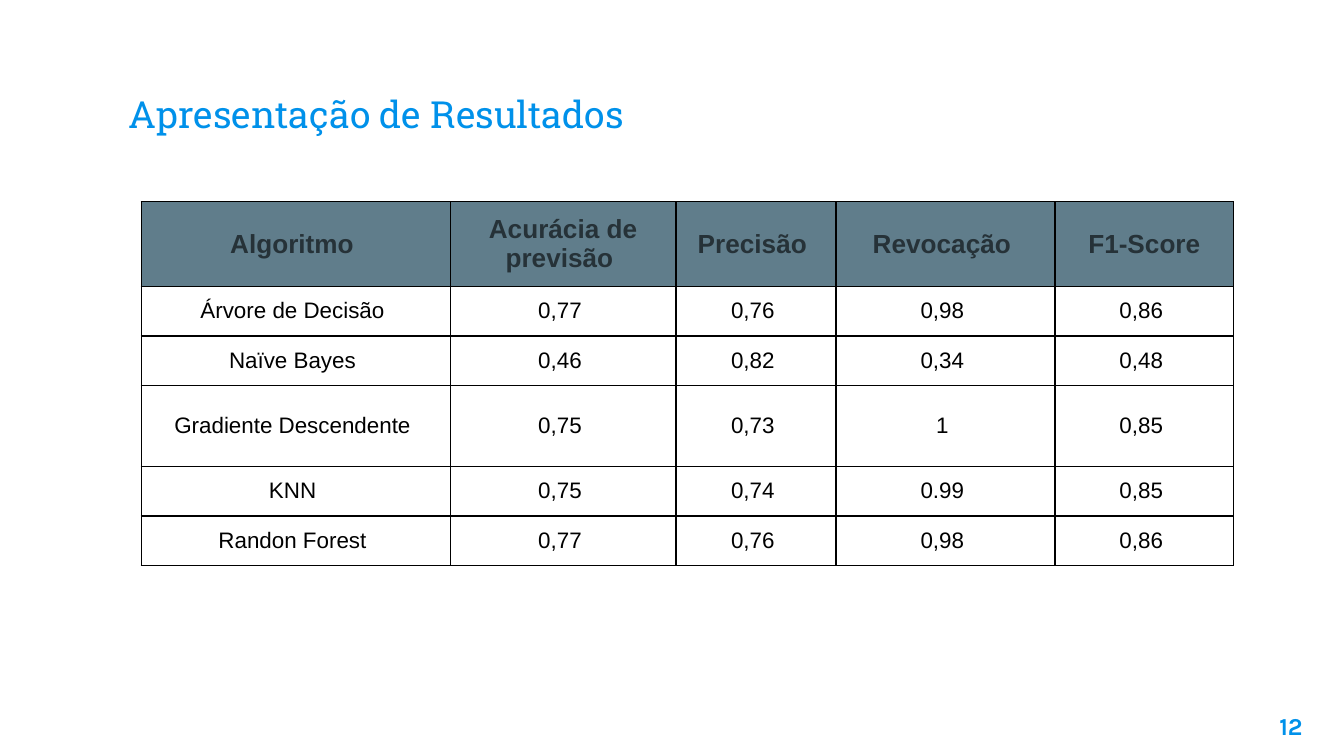
from dataclasses import dataclass

from lxml import etree
from pptx import Presentation
from pptx.dml.color import RGBColor
from pptx.enum.text import MSO_ANCHOR, PP_ALIGN
from pptx.oxml.ns import qn
from pptx.util import Inches, Pt

LEFT, CENTER, RIGHT = PP_ALIGN.LEFT, PP_ALIGN.CENTER, PP_ALIGN.RIGHT
TOP, MIDDLE, BOTTOM = MSO_ANCHOR.TOP, MSO_ANCHOR.MIDDLE, MSO_ANCHOR.BOTTOM
NBSP = chr(160)  # no-break space that closes every table entry

COLORS = {
    "accent": "0091EA",
    "header_fill": "607D8B",
    "header_text": "263238",
    "body_text": "000000",
    "border": "000000",
}


@dataclass(frozen=True)
class TextStyle:
    font: str
    size: float
    color: str
    bold: bool = False
    align: PP_ALIGN = CENTER


@dataclass(frozen=True)
class Label:
    text: str
    left: float
    top: float
    width: float
    height: float
    style: TextStyle
    anchor: MSO_ANCHOR = TOP


HEADER_STYLE = TextStyle("Arial", 14, "header_text", bold=True)
BODY_STYLE = TextStyle("Arial", 12, "body_text")

LABELS = [
    Label("Apresentação de Resultados", 0.86, 0.34, 8.28, 0.77,
          TextStyle("Roboto Slab", 20, "accent", align=LEFT), BOTTOM),
    Label("12", 9.19, 5.19, 0.6, 0.43,
          TextStyle("Karla", 13, "accent", bold=True, align=RIGHT)),
]

RESULTS = [
    ("Algoritmo", "Acurácia de previsão", "Precisão", "Revocação", NBSP + "F1-Score"),
    ("Árvore de Decisão", "0,77", "0,76", "0,98", "0,86"),
    ("Naïve Bayes", "0,46", "0,82", "0,34", "0,48"),
    ("Gradiente Descendente", "0,75", "0,73", "1", "0,85"),
    ("KNN", "0,75", "0,74", "0.99", "0,85"),
    ("Randon Forest", "0,77", "0,76", "0,98", "0,86"),
]
COLUMN_WIDTHS = [2.3, 1.68, 1.19, 1.63, 1.33]
ROW_HEIGHTS = [0.63, 0.37, 0.37, 0.6, 0.37, 0.37]


def write_text(frame, text: str, style: TextStyle) -> None:
    paragraph = frame.paragraphs[0]
    paragraph.text = text
    paragraph.alignment = style.align
    font = paragraph.font
    font.name, font.size, font.bold = style.font, Pt(style.size), style.bold
    font.color.rgb = RGBColor.from_string(COLORS[style.color])


def add_label(slide, label: Label) -> None:
    box = slide.shapes.add_textbox(Inches(label.left), Inches(label.top),
                                   Inches(label.width), Inches(label.height))
    frame = box.text_frame
    frame.word_wrap = True
    frame.vertical_anchor = label.anchor
    frame.margin_left = frame.margin_right = Inches(0.1)
    frame.margin_top = frame.margin_bottom = Inches(0.1)
    write_text(frame, label.text, label.style)


def add_borders(cell, color: str, width: float) -> None:
    properties = cell._tc.get_or_add_tcPr()
    # Border lines come before the fill in the cell properties
    for index, side in enumerate(("a:lnL", "a:lnR", "a:lnT", "a:lnB")):
        line = etree.Element(qn(side), w=str(Pt(width)))
        fill = etree.SubElement(line, qn("a:solidFill"))
        etree.SubElement(fill, qn("a:srgbClr"), val=COLORS[color])
        properties.insert(index, line)


def add_results_table(slide, left: float, top: float) -> None:
    table = slide.shapes.add_table(
        len(RESULTS), len(COLUMN_WIDTHS), Inches(left), Inches(top),
        Inches(sum(COLUMN_WIDTHS)), Inches(sum(ROW_HEIGHTS))).table
    table.horz_banding = False
    for column, width in zip(table.columns, COLUMN_WIDTHS):
        column.width = Inches(width)
    for r, (values, height) in enumerate(zip(RESULTS, ROW_HEIGHTS)):
        table.rows[r].height = Inches(height)
        for c, value in enumerate(values):
            cell = table.cell(r, c)
            cell.vertical_anchor = MIDDLE
            if r == 0:
                cell.fill.solid()
                cell.fill.fore_color.rgb = RGBColor.from_string(COLORS["header_fill"])
            else:
                cell.fill.background()
            write_text(cell.text_frame, value + NBSP,
                       HEADER_STYLE if r == 0 else BODY_STYLE)
            add_borders(cell, "border", 0.75)


def main() -> None:
    presentation = Presentation()
    # Widescreen, 16:9
    presentation.slide_width = Inches(10)
    presentation.slide_height = Inches(10 * 9 / 16)
    slide = presentation.slides.add_slide(presentation.slide_layouts[6])

    # Title and page number
    for label in LABELS:
        add_label(slide, label)

    # Metrics of each algorithm
    add_results_table(slide, 1.05, 1.5)

    presentation.save("out.pptx")


if __name__ == "__main__":
    main()
